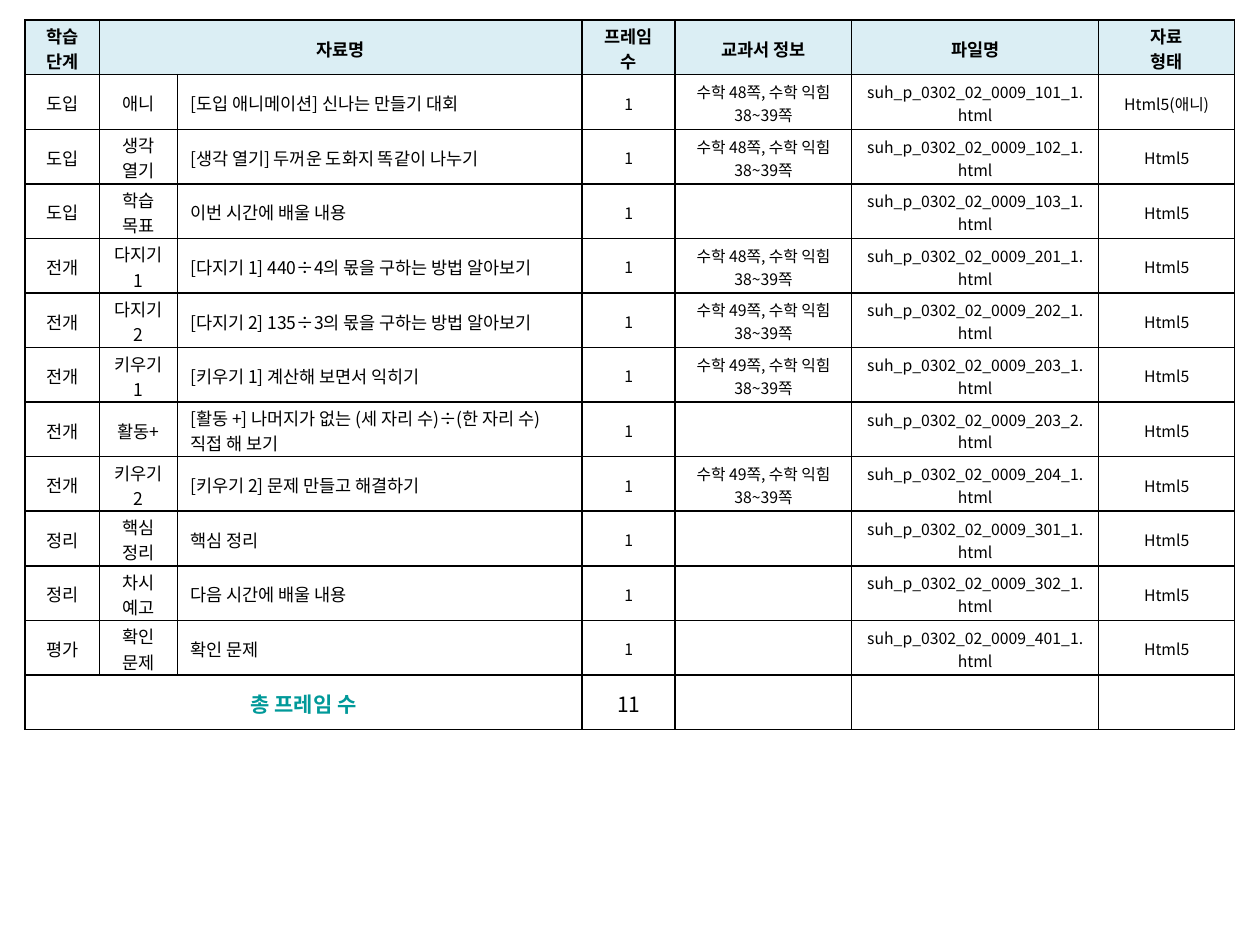
from pptx import Presentation
from pptx.dml.color import RGBColor
from pptx.enum.text import MSO_ANCHOR, PP_ALIGN
from pptx.oxml import parse_xml
from pptx.oxml.ns import nsdecls
from pptx.util import Inches, Pt
from lxml.etree import SubElement

FONT = "Noto Sans CJK KR"
BLACK, WHITE, HEADER_BLUE, TEAL = "000000", "FFFFFF", "DBEEF4", "009999"
COLUMN_WIDTHS = [0.59, 0.62, 3.21, 0.74, 1.4, 1.96, 1.08]
HEADINGS = ["학습 단계", "자료명", "", "프레임 수", "교과서 정보", "파일명", "자료\n형태"]

# Stage, activity, material title, textbook page (if any), file number
LESSONS = [
    ("도입", "애니", "[도입 애니메이션] 신나는 만들기 대회", 48, "101_1"),
    ("도입", "생각 열기", "[생각 열기] 두꺼운 도화지 똑같이 나누기", 48, "102_1"),
    ("도입", "학습 목표", "이번 시간에 배울 내용", None, "103_1"),
    ("전개", "다지기 1", "[다지기 1] 440÷4의 몫을 구하는 방법 알아보기", 48, "201_1"),
    ("전개", "다지기 2", "[다지기 2] 135÷3의 몫을 구하는 방법 알아보기", 49, "202_1"),
    ("전개", "키우기1", "[키우기 1] 계산해 보면서 익히기", 49, "203_1"),
    ("전개", "활동+", "[활동 +] 나머지가 없는 (세 자리 수)÷(한 자리 수) 직접 해 보기", None, "203_2"),
    ("전개", "키우기2", "[키우기 2] 문제 만들고 해결하기", 49, "204_1"),
    ("정리", "핵심 정리", "핵심 정리", None, "301_1"),
    ("정리", "차시 예고", "다음 시간에 배울 내용", None, "302_1"),
    ("평가", "확인 문제", "확인 문제", None, "401_1"),
]


def color(hex_string):
    return RGBColor.from_string(hex_string)


def add_borders(cell):
    properties = cell._tc.get_or_add_tcPr()
    for side in ("lnL", "lnR", "lnT", "lnB"):
        properties.append(parse_xml(
            f'<a:{side} {nsdecls("a")} w="{Pt(1)}"><a:solidFill>'
            f'<a:srgbClr val="{BLACK}"/></a:solidFill></a:{side}>'))


def fill_cell(cell, text, size=10, bold=False, text_color=BLACK,
              fill=WHITE, align=PP_ALIGN.CENTER):
    add_borders(cell)
    cell.fill.solid()
    cell.fill.fore_color.rgb = color(fill)
    cell.vertical_anchor = MSO_ANCHOR.MIDDLE
    cell.margin_left = cell.margin_right = Inches(0.1)
    # Tight vertical margins let two lines fit the row height
    cell.margin_top, cell.margin_bottom = Inches(0.02), Inches(0)
    cell.text = text
    for paragraph in cell.text_frame.paragraphs:
        paragraph.alignment = align
        font = paragraph.font
        font.name, font.size, font.bold = FONT, Pt(size), bold
        font.color.rgb = color(text_color)
        for run in paragraph.runs:
            run.font.name = FONT
            east_asian = SubElement(
                run.font._element,
                "{http://schemas.openxmlformats.org/drawingml/2006/main}ea")
            east_asian.set("typeface", FONT)


def lesson_texts(lesson):
    stage, activity, title, page, file_number = lesson
    textbook = f"수학 {page}쪽, 수학 익힘 38~39쪽" if page else ""
    file_name = f"suh_p_0302_02_0009_{file_number}.html"
    file_type = "Html5(애니)" if activity == "애니" else "Html5"
    return [stage, activity, title, "1", textbook, file_name, file_type]


def add_lesson_table(slide, left, top, width, height):
    row_count = len(LESSONS) + 2
    table = slide.shapes.add_table(
        row_count, len(COLUMN_WIDTHS), Inches(left), Inches(top),
        Inches(width), Inches(height)).table
    table.first_row = table.horz_banding = False
    for column, column_width in zip(table.columns, COLUMN_WIDTHS):
        column.width = Inches(column_width)
    for row in table.rows:
        row.height = Inches(height / row_count)

    # Header row
    for index, heading in enumerate(HEADINGS):
        fill_cell(table.cell(0, index), heading, bold=True, fill=HEADER_BLUE)
    table.cell(0, 1).merge(table.cell(0, 2))

    # Lesson rows
    for row_index, lesson in enumerate(LESSONS, start=1):
        for index, text in enumerate(lesson_texts(lesson)):
            fill_cell(table.cell(row_index, index), text,
                      size=10 if index < 3 else 9,
                      align=PP_ALIGN.LEFT if index == 2 else PP_ALIGN.CENTER)

    # Total row
    last = row_count - 1
    totals = ["총 프레임 수", "", "", str(len(LESSONS)), "", "", ""]
    for index, text in enumerate(totals):
        fill_cell(table.cell(last, index), text, size=12, bold=index == 0,
                  text_color=TEAL if index == 0 else BLACK)
    table.cell(last, 0).merge(table.cell(last, 2))


def main():
    presentation = Presentation()
    presentation.slide_width, presentation.slide_height = Inches(10), Inches(7.5)
    slide = presentation.slides.add_slide(presentation.slide_layouts[6])
    add_lesson_table(slide, 0.2, 0.16, 9.6, 5.63)
    presentation.save("out.pptx")


if __name__ == "__main__":
    main()
